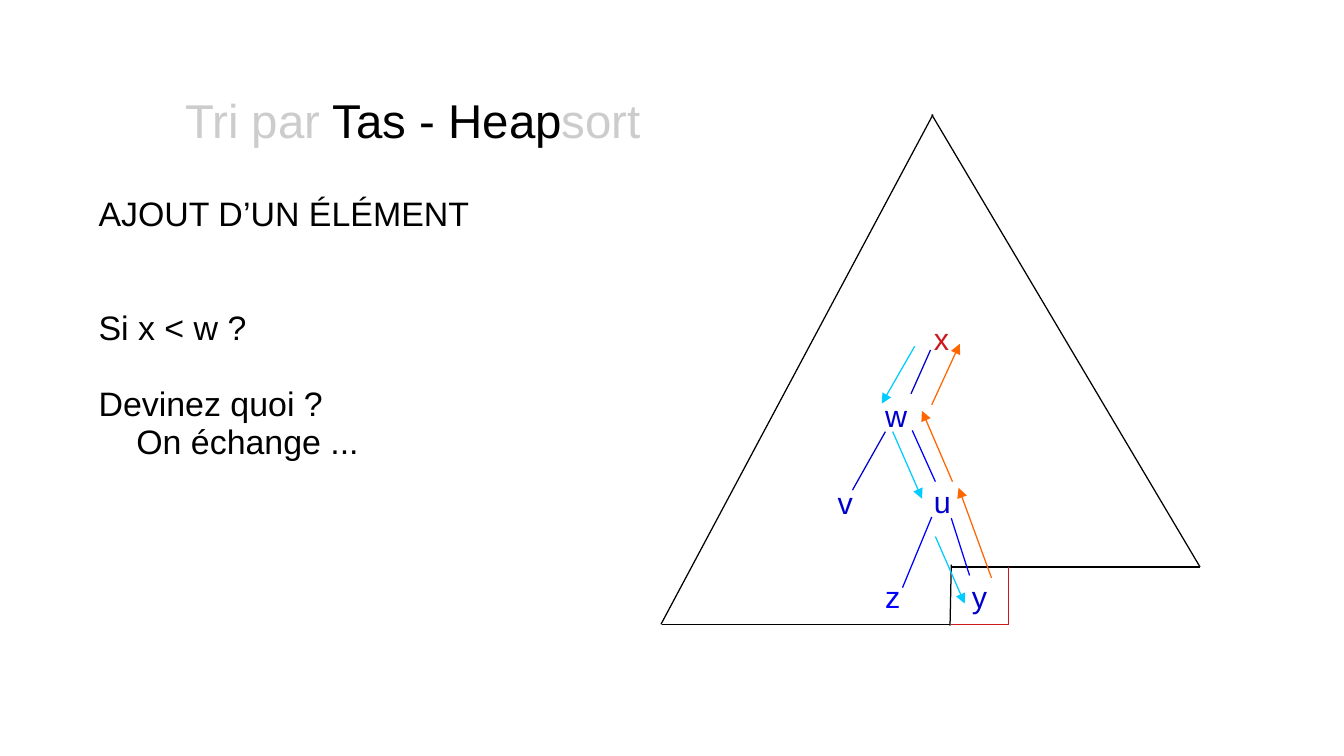
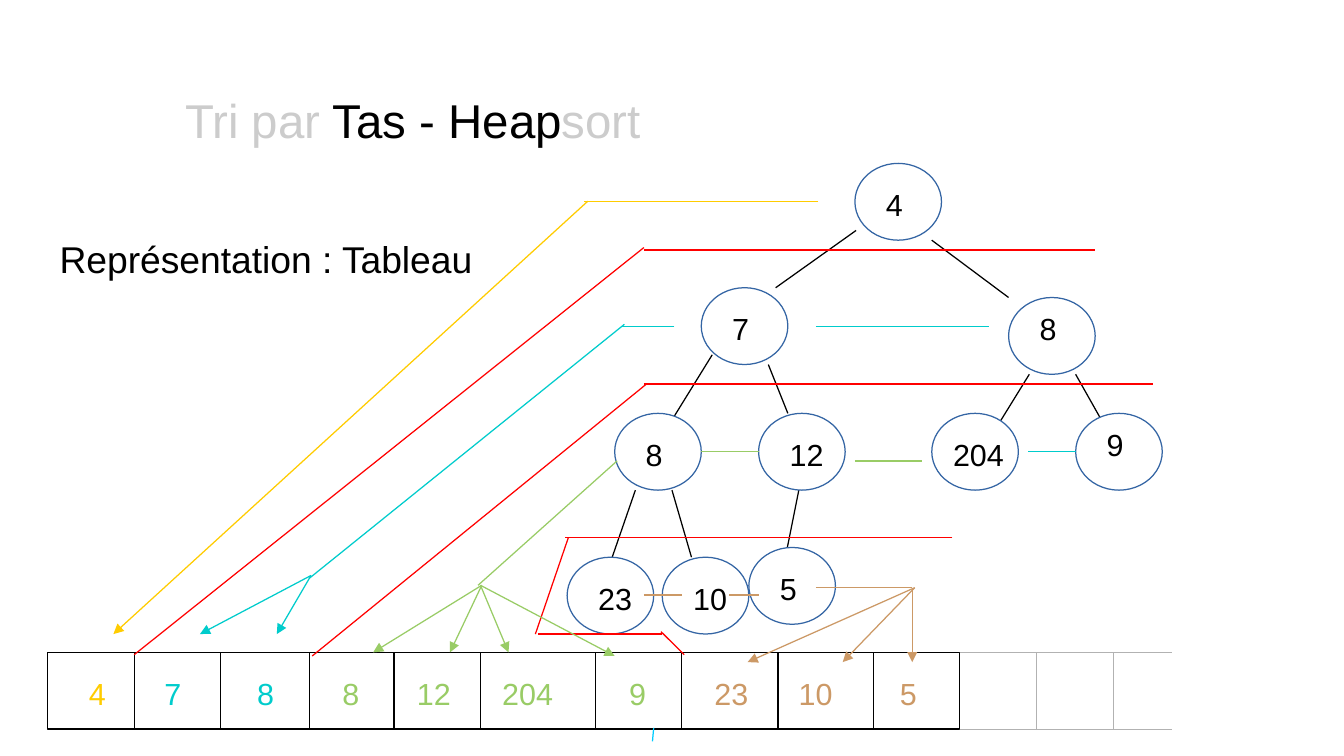
from dataclasses import dataclass
from typing import NamedTuple

from lxml import etree
from pptx import Presentation
from pptx import util as u
from pptx.dml.color import RGBColor
from pptx.enum import shapes, text
from pptx.oxml.ns import qn

PX = 9144  # EMU in one px, 100 px to the inch
FONT = "Arial"
LINE_SPACING = 0.93
COLORS = {
    "black": "000000", "white": "FFFFFF", "pale": "CCCCCC", "grey": "B2B2B2",
    "crimson": "CE181E", "red": "FF0000", "orange": "FF6600", "yellow": "FFCC00",
    "navy": "0000CC", "blue": "0000FF", "sky": "00CCFF", "teal": "00CCCC",
    "green": "99CC66", "tan": "CC9966", "outline": "3465A4",
}
TITLE_RUNS = [("Tri par", "pale"), (" Tas - Heap", "black"), ("sort", "pale")]


class Segment(NamedTuple):
    x1: int
    y1: int
    x2: int
    y2: int


@dataclass
class Strokes:
    color: str
    segments: list[Segment]
    arrow: bool = False


class Label(NamedTuple):
    text: str
    left: int
    top: int
    color: str = "navy"


class Node(NamedTuple):
    text: str
    left: int
    top: int
    inset_left: int = 15
    inset_top: int = 12


class Value(NamedTuple):
    text: str
    left: int
    color: str


def segments(*rows: tuple[int, int, int, int]) -> list[Segment]:
    return [Segment(*row) for row in rows]


def rgb(color: str) -> RGBColor:
    return RGBColor.from_string(COLORS[color])


def set_frame(shape, left: int = 10, top: int = 5, right: int = 10, bottom: int = 5):
    """Wrap the text, hold it to the top, set the insets and return the frame."""
    frame = shape.text_frame
    frame.word_wrap = True
    frame.auto_size = text.MSO_AUTO_SIZE.NONE
    frame.vertical_anchor = text.MSO_ANCHOR.TOP
    frame.margin_left, frame.margin_top = left * PX, top * PX
    frame.margin_right, frame.margin_bottom = right * PX, bottom * PX
    return frame


def format_paragraph(paragraph, size: int, color: str = "black",
                     spacing: float = LINE_SPACING) -> None:
    paragraph.alignment = text.PP_ALIGN.LEFT
    paragraph.line_spacing = spacing
    paragraph.font.name = FONT
    paragraph.font.size = u.Pt(size)
    paragraph.font.color.rgb = rgb(color)


def add_run(paragraph, content: str, color: str) -> None:
    run = paragraph.add_run()
    run.text = content
    run.font.color.rgb = rgb(color)


def add_box(slide, left: int, top: int, width: int, height: int):
    box = slide.shapes.add_textbox(left * PX, top * PX, width * PX, height * PX)
    return set_frame(box)


def add_outlined(slide, kind, left: int, top: int, width: int, height: int, line: str):
    shape = slide.shapes.add_shape(kind, left * PX, top * PX, width * PX, height * PX)
    shape.shadow.inherit = False
    shape.fill.solid()
    shape.fill.fore_color.rgb = rgb("white")
    shape.line.color.rgb = rgb(line)
    shape.line.width = u.Pt(0.75)
    return shape


def draw_strokes(slide, groups: list[Strokes]) -> None:
    for group in groups:
        for segment in group.segments:
            connector = slide.shapes.add_connector(
                shapes.MSO_CONNECTOR.STRAIGHT, *(value * PX for value in segment))
            connector.line.color.rgb = rgb(group.color)
            connector.line.width = u.Pt(0.75)
            properties = connector.element.spPr
            if group.arrow:
                line = properties.find(qn("a:ln"))
                etree.SubElement(line, qn("a:tailEnd"), type="triangle")
            etree.SubElement(properties, qn("a:effectLst"))


def draw_labels(slide, labels: list[Label]) -> None:
    for label in labels:
        paragraph = add_box(slide, label.left, label.top, 40, 38).paragraphs[0]
        paragraph.text = label.text
        format_paragraph(paragraph, 18, label.color)


def draw_nodes(slide, nodes: list[Node]) -> None:
    for node in nodes:
        ellipse = add_outlined(slide, shapes.MSO_SHAPE.OVAL,
                               node.left, node.top, 71, 63, "outline")
        frame = set_frame(ellipse, node.inset_left, node.inset_top, 0, 0)
        paragraph = frame.paragraphs[0]
        paragraph.text = node.text
        format_paragraph(paragraph, 18)


def draw_array_values(slide, values: list[Value]) -> None:
    """Write the values on one line, each after the first at its own tab stop."""
    start = values[0].left
    paragraph = add_box(slide, start - 10, 551, 740, 38).paragraphs[0]
    tab_list = etree.SubElement(paragraph._p.get_or_add_pPr(), qn("a:tabLst"))
    for index, value in enumerate(values):
        if index:
            etree.SubElement(tab_list, qn("a:tab"),
                             pos=str((value.left - start) * PX), algn="l")
        add_run(paragraph, ("\t" if index else "") + value.text, value.color)
    format_paragraph(paragraph, 18)


def add_titled_slide(presentation):
    slide = presentation.slides.add_slide(presentation.slide_layouts[5])
    title = slide.shapes.title
    title.left, title.top, title.width, title.height = (
        value * PX for value in (142, 71, 598, 53))
    paragraph = set_frame(title, top=8).paragraphs[0]
    for content, color in TITLE_RUNS:
        add_run(paragraph, content, color)
    format_paragraph(paragraph, 28)
    return slide


def build_insertion_slide(presentation) -> None:
    slide = add_titled_slide(presentation)
    frame = add_box(slide, 71, 156, 504, 289)
    steps = [("AJOUT D’UN ÉLÉMENT", 0, 0), ("Si x < w ?", 45, 0),
             ("Devinez quoi ?", 22.5, 0), ("On échange ...", 0, 31)]
    for index, (content, space_before, indent) in enumerate(steps):
        paragraph = frame.add_paragraph() if index else frame.paragraphs[0]
        paragraph.text = content
        paragraph._p.get_or_add_pPr().set("marL", str(indent * PX))
        paragraph.space_before = u.Pt(space_before)
        format_paragraph(paragraph, 20)

    draw_strokes(slide, [
        Strokes("black", segments(
            (765, 94, 542, 512), (764, 94, 984, 465), (543, 512, 779, 512),
            (779, 513, 780, 463), (780, 465, 984, 465))),
        Strokes("crimson", segments((780, 512, 827, 512), (827, 465, 827, 512))),
        Strokes("blue", segments(
            (740, 482, 764, 424), (780, 425, 795, 472), (767, 395, 748, 353))),
        Strokes("navy", segments((726, 354, 699, 402), (747, 323, 763, 287))),
        Strokes("orange", segments(
            (813, 474, 786, 400), (781, 395, 756, 337), (764, 332, 787, 282)), True),
        Strokes("sky", segments(
            (767, 440, 791, 495), (732, 354, 756, 409), (750, 284, 723, 331)), True),
    ])
    draw_labels(slide, [
        Label("x", 756, 260, "crimson"), Label("w", 716, 323), Label("v", 677, 395),
        Label("u", 756, 394), Label("z", 716, 472, "blue"), Label("y", 787, 472),
    ])


def build_array_slide(presentation) -> None:
    slide = add_titled_slide(presentation)
    paragraph = add_box(slide, 39, 189, 1031, 38).paragraphs[0]
    paragraph.text = "Représentation : Tableau"
    format_paragraph(paragraph, 22, spacing=1.0)

    draw_strokes(slide, [Strokes("black", segments(
        (702, 189, 636, 236), (764, 197, 827, 244), (584, 291, 550, 346),
        (630, 299, 646, 339), (844, 307, 810, 362), (882, 307, 913, 362),
        (521, 402, 502, 457), (551, 402, 567, 457), (655, 402, 644, 457)))])
    draw_nodes(slide, [
        Node("4", 701, 134), Node("7", 575, 236), Node("8", 827, 244, inset_top=4),
        Node("8", 504, 339), Node("12", 622, 339), Node("204", 764, 339, inset_left=7),
        Node("9", 882, 339, inset_top=4), Node("23", 465, 457), Node("10", 543, 457),
        Node("5", 614, 449),
    ])

    top, bottom = 535, 598
    add_outlined(slide, shapes.MSO_SHAPE.RECTANGLE, 39, top, 748, bottom - top, "black")
    dividers = [110, 181, 254, 323, 394, 488, 559, 638, 716]
    draw_strokes(slide, [
        Strokes("black", [Segment(x, top, x, bottom) for x in dividers]),
        Strokes("grey", [Segment(787, y, 961, y) for y in (top, bottom)]
                + [Segment(x, top, x, bottom) for x in (850, 913)]),
    ])
    draw_array_values(slide, [
        Value("4", 73, "yellow"), Value("7", 135, "teal"), Value("8", 211, "teal"),
        Value("8", 281, "green"), Value("12", 342, "green"), Value("204", 412, "green"),
        Value("9", 516, "green"), Value("23", 586, "tan"), Value("10", 655, "tan"),
        Value("5", 738, "tan"),
    ])

    draw_strokes(slide, [
        Strokes("sky", segments((535, 608, 536, 597))),
        Strokes("red", segments(
            (110, 537, 528, 203), (528, 205, 898, 205), (256, 538, 530, 315),
            (528, 315, 945, 315), (561, 537, 542, 518), (441, 520, 543, 520),
            (466, 441, 439, 520), (781, 441, 463, 441))),
        Strokes("yellow", segments((671, 165, 479, 165))),
        Strokes("yellow", segments((482, 165, 93, 520)), True),
        Strokes("teal", segments(
            (553, 268, 510, 268), (254, 474, 512, 266), (669, 268, 811, 268),
            (843, 370, 882, 370))),
        Strokes("teal", segments((255, 472, 164, 520), (255, 472, 227, 520)), True),
        Strokes("green", segments(
            (575, 370, 622, 370), (701, 378, 756, 378), (506, 378, 392, 480))),
        Strokes("green", segments(
            (395, 480, 306, 535), (395, 480, 369, 535), (394, 480, 417, 535),
            (394, 480, 504, 538)), True),
        Strokes("tan", segments(
            (528, 488, 559, 488), (598, 488, 622, 488), (669, 482, 748, 482))),
        Strokes("tan", segments(
            (750, 482, 613, 543), (750, 482, 691, 543), (748, 482, 748, 543)), True),
    ])


def main() -> None:
    presentation = Presentation()
    presentation.slide_width, presentation.slide_height = 1102 * PX, 620 * PX
    build_insertion_slide(presentation)
    build_array_slide(presentation)
    presentation.save("out.pptx")


if __name__ == "__main__":
    main()
